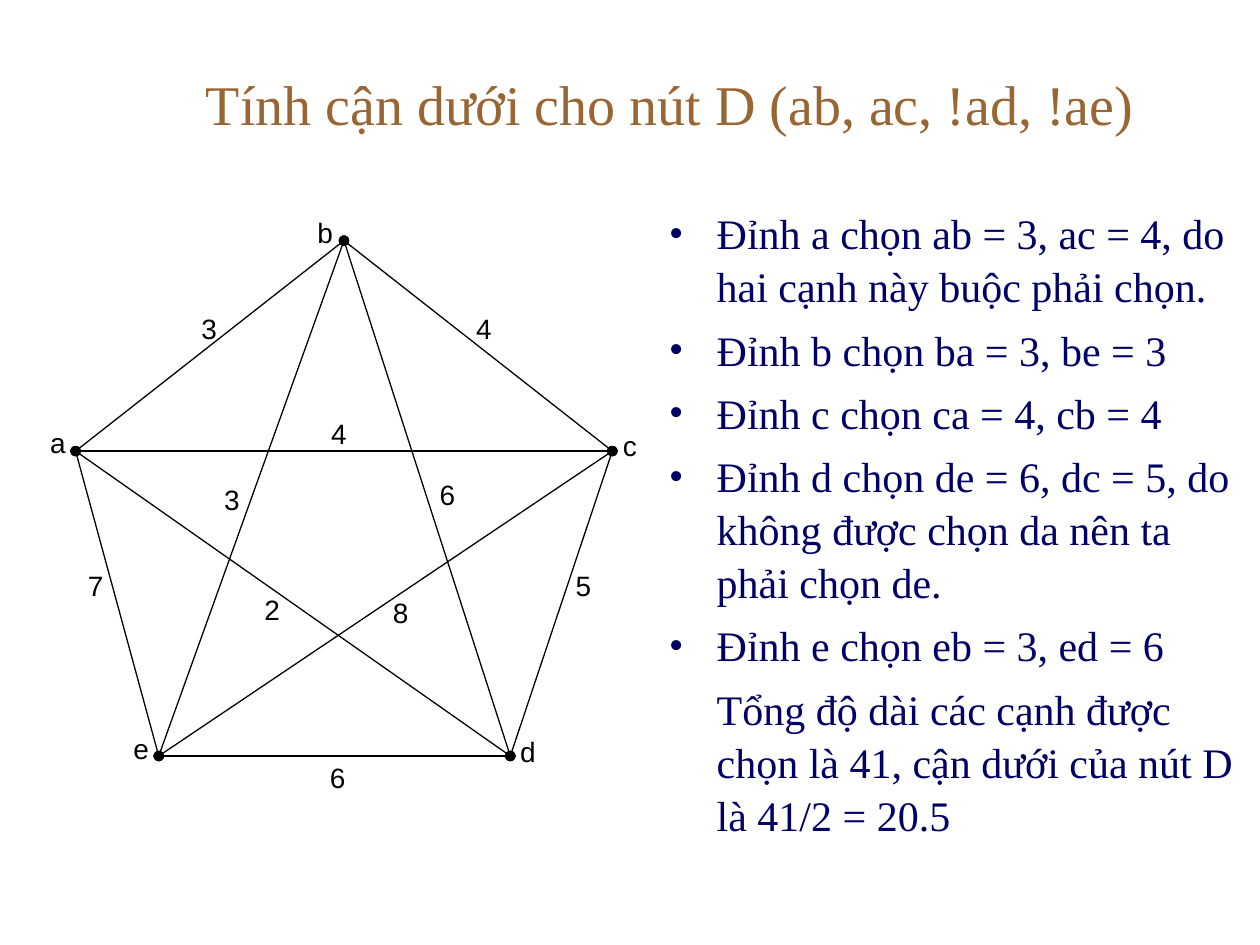
from lxml import etree
from pptx import Presentation
from pptx.dml.color import RGBColor
from pptx.enum.shapes import MSO_CONNECTOR as CONN
from pptx.enum.text import MSO_ANCHOR as ANCHOR, PP_ALIGN as ALIGN
from pptx.oxml.ns import qn
from pptx.util import Inches, Pt

BROWN = RGBColor(0x99, 0x66, 0x33)
NAVY = RGBColor(0x00, 0x00, 0x66)
BLACK = RGBColor(0x00, 0x00, 0x00)

TITLE = "Tính cận dưới cho nút D (ab, ac, !ad, !ae) "
STEPS = [
    "Ðỉnh a chọn ab = 3, ac = 4, do hai cạnh này buộc phải chọn.",
    "Ðỉnh b chọn ba = 3, be = 3",
    "Ðỉnh c chọn ca = 4, cb = 4",
    "Ðỉnh d chọn de = 6, dc = 5, do không được chọn da nên ta phải chọn de.",
    "Ðỉnh e chọn eb = 3, ed = 6",
]
TOTAL = "Tổng độ dài các cạnh được chọn là 41, cận dưới của nút D là 41/2 = 20.5"

NODES = {
    "a": ((0.6, 3.58), (0.38, 3.38)),
    "b": ((2.73, 1.91), (2.5, 1.71)),
    "c": ((4.86, 3.58), (4.92, 3.4)),
    "d": ((4.05, 6), (4.11, 5.83)),
    "e": ((1.26, 6), (1.04, 5.81)),
}
EDGES = [
    ("ab", "3", (1.58, 2.47)),
    ("cb", "4", (3.76, 2.47)),
    ("eb", "3", (1.76, 3.83)),
    ("db", "6", (3.47, 3.79)),
    ("ac", "4", (2.61, 3.31)),
    ("ae", "7", (0.68, 4.51)),
    ("ad", "2", (2.08, 4.7)),
    ("ec", "8", (3.1, 4.73)),
    ("ed", "6", (2.6, 6.04)),
    ("dc", "5", (4.55, 4.51)),
]


class GraphSlide:
    serif, sans = "Times New Roman", "Arial"

    def __init__(self, prs):
        self.slide = prs.slides.add_slide(prs.slide_layouts[6])
        self.shapes = self.slide.shapes
        self.graph = None

    def box(self, shapes, x, y, w, h):
        tf = shapes.add_textbox(Inches(x), Inches(y), Inches(w), Inches(h)).text_frame
        tf.word_wrap = True
        return tf

    def run(self, p, text, size, font, color):
        r = p.add_run()
        r.text = text
        r.font.size = Pt(size)
        r.font.name = font
        r.font.color.rgb = color

    def title(self, text):
        tf = self.box(self.shapes, 1.25, 0.3, 8.25, 1.03)
        tf.vertical_anchor = ANCHOR.MIDDLE
        p = tf.paragraphs[0]
        p.alignment = ALIGN.CENTER
        self.run(p, text, 32, self.serif, BROWN)

    def body(self, steps, total):
        tf = self.box(self.shapes, 5.21, 1.58, 4.79, 5.42)
        for i, text in enumerate(steps + [total]):
            p = tf.paragraphs[0] if i == 0 else tf.add_paragraph()
            p.space_before = Pt(6)
            p.line_spacing = 1.05
            pPr = p._p.get_or_add_pPr()
            pPr.set("marL", str(Inches(0.38)))
            if i < len(steps):
                pPr.set("indent", str(-Inches(0.38)))
                etree.SubElement(pPr, qn("a:buFont"), typeface=self.serif)
                etree.SubElement(pPr, qn("a:buChar"), char="•")
            self.run(p, text, 24, self.serif, NAVY)

    def start_graph(self):
        self.graph = self.shapes.add_group_shape().shapes

    def label(self, text, at):
        tf = self.box(self.graph, *at, 0.16, 0.37)
        tf.margin_left = tf.margin_right = tf.margin_top = tf.margin_bottom = 0
        p = tf.paragraphs[0]
        p.alignment = ALIGN.CENTER
        p.space_before = Pt(4)
        self.run(p, text, 16, self.sans, BLACK)

    def edge(self, start, end):
        sp = self.graph.add_connector(CONN.STRAIGHT, *map(Inches, start + end))
        sp.line.color.rgb = BLACK
        sp.line.width = Pt(0.74)
        ln = sp.line._get_or_add_ln()
        for tag in ("a:headEnd", "a:tailEnd"):
            etree.SubElement(ln, qn(tag), type="oval")
        etree.SubElement(sp._element.spPr, qn("a:effectLst"))


prs = Presentation()
prs.slide_width, prs.slide_height = Inches(10), Inches(7.5)

s = GraphSlide(prs)
s.title(TITLE)
s.body(STEPS, TOTAL)
s.start_graph()
for name, (point, label_at) in NODES.items():
    s.label(name, label_at)
for (start, end), weight, label_at in EDGES:
    s.label(weight, label_at)
    s.edge(NODES[start][0], NODES[end][0])

prs.save("out.pptx")
